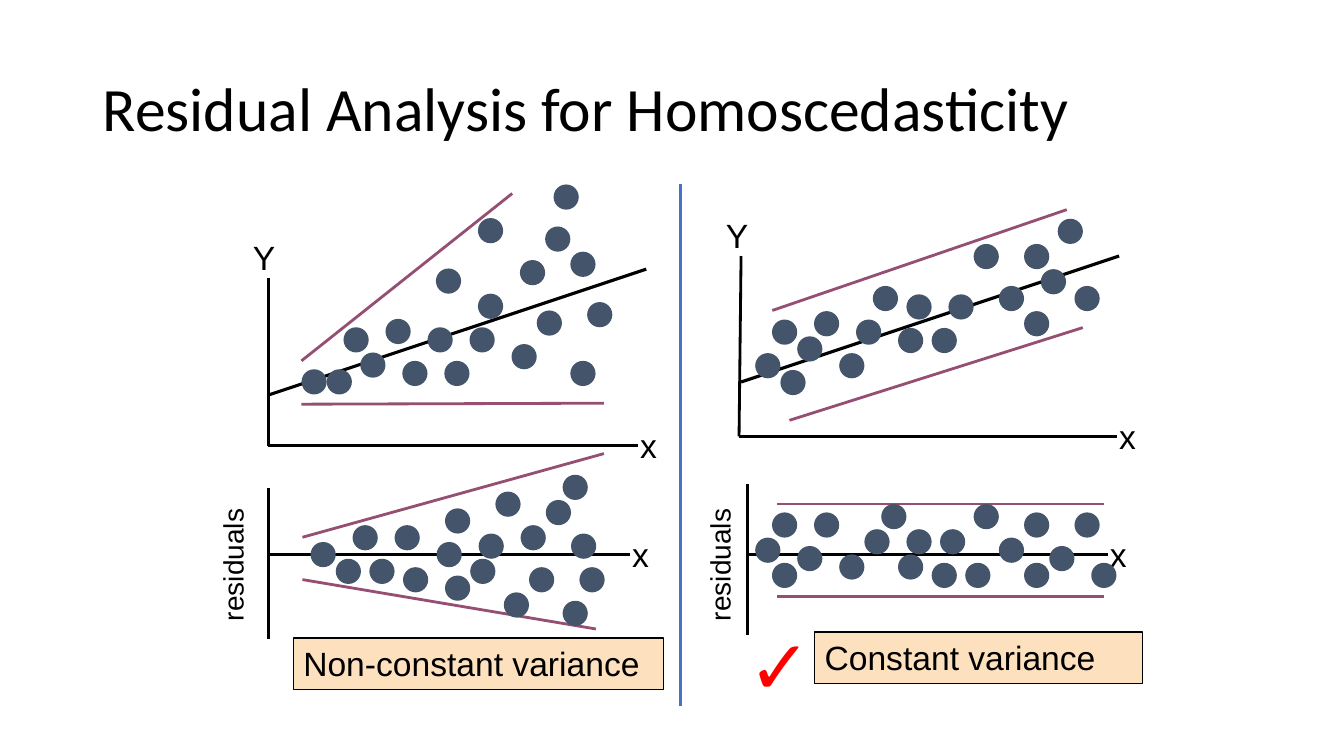
from lxml.etree import SubElement
from pptx import Presentation
from pptx.dml.color import RGBColor
from pptx.enum.shapes import MSO_CONNECTOR, MSO_SHAPE
from pptx.enum.text import MSO_ANCHOR
from pptx.oxml.ns import qn
from pptx.util import Inches, Pt


class Theme:
    black = RGBColor.from_string("000000")
    red = RGBColor.from_string("FF0000")
    point = RGBColor.from_string("44546A")
    bound = RGBColor.from_string("954F72")
    divider = RGBColor.from_string("4472C4")
    caption_fill = RGBColor.from_string("FDE0BD")
    title_font, body_font = "Calibri", "Arial"
    title_size, check_size, label_size, axis_size = 44, 54, 24, 20
    line_width, fit_width, border_width = 2, 2.25, 1


DOT = 0.25
GRID = DOT / 3  # points sit on a grid of a third of their diameter

presentation = Presentation()
presentation.slide_width = Inches(13.33)
presentation.slide_height = Inches(7.5)
slide = presentation.slides.add_slide(presentation.slide_layouts[6])


def add_line(x1, y1, x2, y2, color=Theme.black, width=Theme.line_width):
    line = slide.shapes.add_connector(
        MSO_CONNECTOR.STRAIGHT, Inches(x1), Inches(y1), Inches(x2), Inches(y2))
    line.line.color.rgb = color
    line.line.width = Pt(width)
    SubElement(line.element.spPr, qn("a:effectLst"))


def add_text(text, left, top, width, height, size=Theme.label_size,
             color=Theme.black, font=Theme.body_font, wrap=True):
    shape = slide.shapes.add_textbox(
        Inches(left), Inches(top), Inches(width), Inches(height))
    shape.text_frame.word_wrap = wrap
    shape.text_frame.text = text
    run = shape.text_frame.paragraphs[0].runs[0]
    run.font.name = font
    run.font.size = Pt(size)
    run.font.color.rgb = color
    return shape


# Title
title = add_text("Residual Analysis for Homoscedasticity", 0.92, 0.4, 11.5, 1.45,
                 Theme.title_size, font=Theme.title_font)
title.text_frame.vertical_anchor = MSO_ANCHOR.MIDDLE
title.text_frame.paragraphs[0].line_spacing = 0.8

# Captions and check mark
for text, left, top, width in [("Non-constant variance", 2.91, 6.33, 3.67),
                               ("Constant variance", 8.08, 6.27, 3.25)]:
    caption = add_text(text, left, top, width, 0.51)
    caption.fill.solid()
    caption.fill.fore_color.rgb = Theme.caption_fill
    caption.line.color.rgb = Theme.black
    caption.line.width = Pt(Theme.border_width)
add_text("✓", 7.33, 6.09, 1, 1.01, Theme.check_size, Theme.red)

# Data plots: Y axis, x axis and fitted line, with their labels
for left, foot, top, bottom, right in [(2.66, 2.66, 2.76, 4.42, 6.33),
                                       (7.35, 7.33, 2.54, 4.33, 11.08)]:
    add_line(left, top, foot, bottom)
    add_line(foot, bottom, right, bottom)
    add_text("x", right - 0.08, bottom - 0.25, 0.51, 0.5)
    add_text("Y", left - 0.25, top - 0.46, 0.42, 0.5, wrap=False)
for left, start in [(2.66, 3.92), (7.35, 3.79)]:
    add_line(left, start, left + 3.75, start - 1.25, width=Theme.fit_width)

# Residual plots: axes with their labels
for left, top, right, label_left in [(2.66, 4.84, 6.25, 1.59), (7.41, 4.8, 10.99, 6.42)]:
    add_line(left, top, left, top + 1.5)
    add_line(left, 5.5, right, 5.5)
    add_text("x", right - 0.08, 5.25, 0.51, 0.5)
    axis_title = add_text("residuals", label_left, 5.33, 1.43, 0.43, Theme.axis_size)
    axis_title.rotation = 270

# Bounds of the spread
for bound in [(2.99, 3.58, 5.08, 1.92), (2.99, 4.01, 5.99, 4),
              (7.66, 3.08, 10.58, 2.08), (7.83, 4.17, 10.74, 3.25),
              (3, 5.33, 5.99, 4.5), (3, 5.75, 5.91, 6.24),
              (7.71, 5, 10.95, 5), (7.71, 5.92, 10.95, 5.92)]:
    add_line(*bound, color=Theme.bound)

# Scatter maps: each "o" is a point, each row and column one grid step
data_spreading = """
..............................o
.
.
.
.....................o
.............................o
.
.
................................o
..........................o
................o
.
.
.....................o
..................................o
............................o
..........o
.....o.........o....o
.
.........................o
.......o
............o....o..............o
o..o
"""
data_even = """
....................................o
.
.
..........................o.....o
.
.
..................................o
.
..............o..............o........o
..................o....o
.
.......o........................o
..o.........o
.................o...o
.....o
.
o.........o
.
...o
"""
residuals_spreading = """
..............................o
.
......................o
............................o
................o
.
.....o....o..............o
....................o..........o
o..............o
.
...o...o...........o
...........o..............o.....o
................o
.
.......................o
..............................o
"""
residuals_even = """
...............o..........o
..o....o........................o.....o
.
.............o....o...o
o............................o
.....o.............................o
..........o......o
..o..................o...o......o.......o
"""
for scatter, left, top in [(data_spreading, 2.99, 1.83), (data_even, 7.49, 2.17),
                           (residuals_spreading, 3.08, 4.71), (residuals_even, 7.49, 5)]:
    for row, cells in enumerate(scatter.split()):
        for column, cell in enumerate(cells):
            if cell == "o":
                point = slide.shapes.add_shape(
                    MSO_SHAPE.OVAL, Inches(left + column * GRID),
                    Inches(top + row * GRID), Inches(DOT), Inches(DOT))
                point.shadow.inherit = False
                point.fill.solid()
                point.fill.fore_color.rgb = Theme.point
                point.line.fill.background()

# Divider between the two cases
add_line(6.75, 1.83, 6.75, 7, Theme.divider, Theme.fit_width)

presentation.save("out.pptx")
